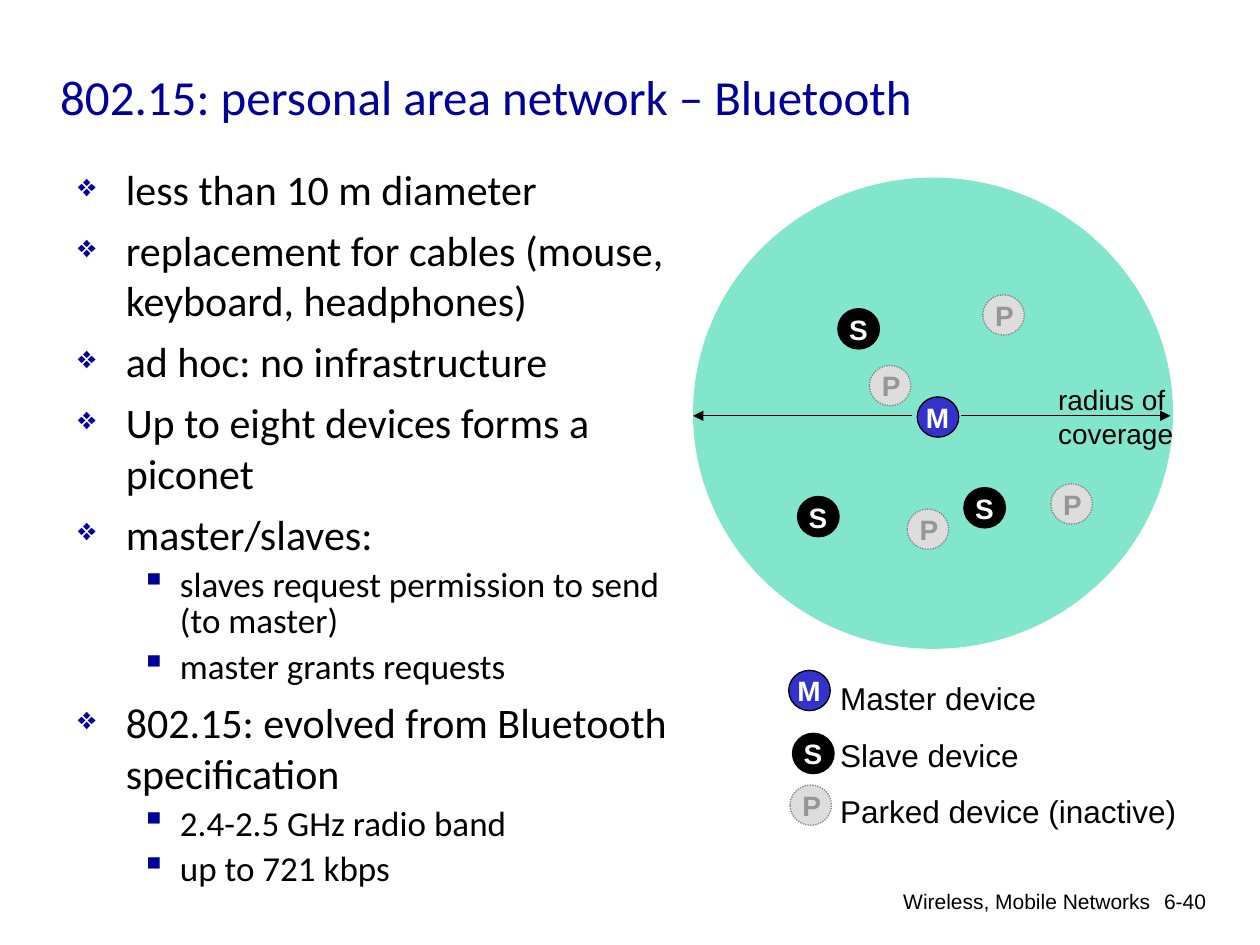
from lxml import etree
from pptx import Presentation
from pptx.dml.color import RGBColor
from pptx.enum.dml import MSO_LINE
from pptx.enum.shapes import MSO_CONNECTOR, MSO_SHAPE
from pptx.enum.text import MSO_ANCHOR, PP_ALIGN
from pptx.oxml.ns import qn
from pptx.util import Pt

OVAL = MSO_SHAPE.OVAL
LINE = MSO_CONNECTOR.STRAIGHT
DOTS = MSO_LINE.ROUND_DOT
MID = MSO_ANCHOR.MIDDLE
LEFT, RIGHT = PP_ALIGN.LEFT, PP_ALIGN.RIGHT
SCALE = 9144
NAVY, BLACK, WHITE = "000099", "000000", "FFFFFF"

KINDS = {
    "M": ("3333CC", BLACK, WHITE, -3),
    "S": (BLACK, BLACK, WHITE, -1),
    "P": ("DDDDDD", "808080", "969696", 0),
}
NODES = [
    ("M", 178, 174), ("S", 115, 104), ("S", 215, 246), ("S", 83, 253),
    ("P", 230, 93), ("P", 170, 263), ("P", 140, 149), ("P", 284, 243),
]
KEYS = [("M", 0, 13), ("S", 3, 63), ("P", 1, 104)]
NAMES = ["Master device", "Slave device", "Parked device (inactive)"]
POINTS = [
    (0, "less than 10 m diameter"),
    (0, "replacement for cables (mouse, keyboard, headphones)"),
    (0, "ad hoc: no infrastructure"),
    (0, "Up to eight devices forms a piconet"),
    (0, "master/slaves:"),
    (1, "slaves request permission to send (to master)"),
    (1, "master grants requests"),
    (0, "802.15: evolved from Bluetooth specification"),
    (1, "2.4-2.5 GHz radio band"),
    (1, "up to 721 kbps"),
]
LEVELS = [(38, 38, "❖", 75, 24, 6, None), (81, 31, "▪", 100, 20, 5, Pt(21))]


def px(*vals):
    """Turn px lengths into EMU."""
    return [val * SCALE for val in vals]


def tint(code):
    """Turn a hex string into a colour."""
    return RGBColor.from_string(code)


def style(par, size, color=BLACK, face="Arial", bold=False):
    """Set the font of a paragraph."""
    font = par.font
    font.name, font.size, font.bold = face, Pt(size), bold
    font.color.rgb = tint(color)


def write(shapes, box, lines, size, color=BLACK, face="Arial",
          bold=False, align=LEFT, wrap=True, space=None):
    """Add a text box with one paragraph per line."""
    frame = shapes.add_textbox(*px(*box)).text_frame
    frame.word_wrap = wrap
    frame.text = "\n".join(lines)
    for par in frame.paragraphs:
        par.alignment, par.line_spacing = align, space
        style(par, size, color, face, bold)
    return frame


def mark(par, left, hang, char, share):
    """Give a paragraph a hanging bullet."""
    props = par._p.get_or_add_pPr()
    props.set("marL", str(left * SCALE))
    props.set("indent", str(-hang * SCALE))
    shade = etree.SubElement(props, qn("a:buClr"))
    etree.SubElement(shade, qn("a:srgbClr"), val=NAVY)
    etree.SubElement(props, qn("a:buSzPct"), val=str(share * 1000))
    etree.SubElement(props, qn("a:buChar"), char=char)


def points(shapes, box):
    """Fill the box with the bullet list."""
    frame = shapes.add_textbox(*px(*box)).text_frame
    frame.word_wrap = True
    for i, (level, text) in enumerate(POINTS):
        par = frame.add_paragraph() if i else frame.paragraphs[0]
        left, hang, char, share, size, gap, space = LEVELS[level]
        par.text, par.level = text, level
        mark(par, left, hang, char, share)
        par.line_spacing = space
        par.space_before = Pt(gap if i else 0)
        style(par, size, face="Calibri")


def disc(shapes, box, fill):
    """Add a plain ellipse without a line."""
    oval = shapes.add_shape(OVAL, *px(*box))
    oval.shadow.inherit = False
    oval.fill.solid()
    oval.fill.fore_color.rgb = tint(fill)
    oval.line.fill.background()
    return oval


def node(shapes, kind, x, y):
    """Add a device circle with its letter."""
    fill, edge, color, shift = KINDS[kind]
    group = shapes.add_group_shape().shapes
    oval = disc(group, (x, y, 33, 32), fill)
    oval.line.color.rgb = tint(edge)
    oval.line.width = Pt(0.75)
    if kind == "P":
        oval.line.dash_style = DOTS
    write(group, (x + shift, y - 2, 33, 37), [kind], 16, color, bold=True)


def arrow(shapes, start, end, y):
    """Add a level arrow pointing at its end."""
    link = shapes.add_connector(LINE, *px(start, y, end, y))
    link.line.color.rgb = tint(BLACK)
    link.line.width = Pt(0.75)
    etree.SubElement(link.line._get_or_add_ln(), qn("a:tailEnd"), type="triangle")
    etree.SubElement(link._element.spPr, qn("a:effectLst"))


def piconet(shapes, box):
    """Draw the coverage area with its devices."""
    x, y, wide, _ = box
    area = disc(shapes, box, "00CC99")
    shade = area._element.spPr.find(".//" + qn("a:srgbClr"))
    etree.SubElement(shade, qn("a:alpha"), val="49000")
    arrow(shapes, x + 213, x + wide - 2, y + 189)
    arrow(shapes, x + 174, x, y + 189)
    write(shapes, (x + 280, y + 158, 111, 64), ["radius of", "coverage"], 16, wrap=False)
    for kind, dx, dy in NODES:
        node(shapes, kind, x + dx, y + dy)


def legend(shapes, box):
    """List the kinds of device."""
    x, y, wide, high = box
    write(shapes, (x + 31, y, wide - 31, high), NAMES, 18, wrap=False, space=1.5)
    for kind, dx, dy in KEYS:
        node(shapes, kind, x + dx, y + dy)


def footer(shapes, box):
    """Write the chapter name and page number."""
    x, y, wide, high = box
    write(shapes, (x, y, 422, 35), ["Wireless, Mobile Networks"], 12, align=RIGHT)
    write(shapes, (x + wide - 74, y, 74, high), ["6-40"], 12, align=RIGHT)


def main():
    """Build the slide and save it."""
    deck = Presentation()
    deck.slide_width, deck.slide_height = px(1000, 750)
    shapes = deck.slides.add_slide(deck.slide_layouts[6]).shapes
    footer(shapes, (501, 700, 466, 50))
    piconet(shapes, (550, 141, 381, 374))
    legend(shapes, (626, 519, 318, 145))
    title = write(shapes, (38, 30, 850, 92),
                  ["802.15: personal area network – Bluetooth"], 28, NAVY, "Calibri")
    title.vertical_anchor = MID
    points(shapes, (52, 125, 488, 603))
    deck.save("out.pptx")


if __name__ == "__main__":
    main()
